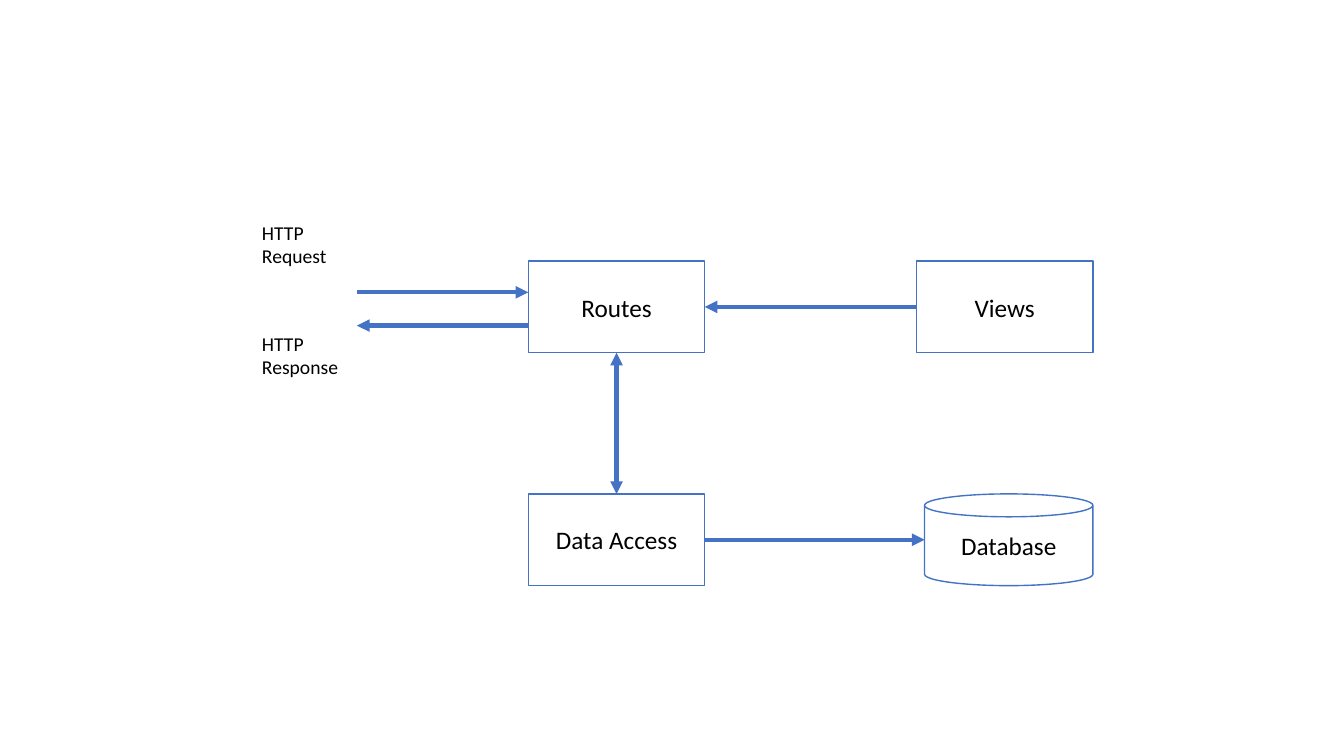
from lxml import etree
from pptx import Presentation, util as u
from pptx.dml.color import RGBColor
from pptx.enum import shapes, text
from pptx.oxml.ns import qn

BLUE, WHITE, BLACK = "4472C4", "FFFFFF", "000000"

# Grid: two columns of boxes in two rows
LEFT, RIGHT_EDGE = 5.24, 10.84
TOP, BOTTOM = 2.59, 4.9
BOX_W, CAN_W, BOX_H = 1.75, 1.67, 0.91
LABEL_X, LABEL_H, CLIENT_X = 2.5, 0.74, 3.54


def color(value):
    return RGBColor.from_string(value)


def add_arrow(start, end, ends=("tailEnd",)):
    points = [u.Inches(value) for value in start + end]
    arrow = page.shapes.add_connector(shapes.MSO_CONNECTOR.STRAIGHT, *points)
    arrow.line.color.rgb = color(BLUE)
    arrow.line.width = u.Pt(3)
    for name in ends:
        etree.SubElement(arrow.line._get_or_add_ln(), qn("a:" + name), type="triangle")
    etree.SubElement(arrow._element.spPr, qn("a:effectLst"))
    return arrow


deck = Presentation()
deck.slide_width, deck.slide_height = u.Inches(13.33), u.Inches(7.5)
page = deck.slides.add_slide(deck.slide_layouts[6])

# Components
components = [
    ("Routes", LEFT, TOP, BOX_W, shapes.MSO_SHAPE.RECTANGLE),
    ("Views", RIGHT_EDGE - BOX_W, TOP, BOX_W, shapes.MSO_SHAPE.RECTANGLE),
    ("Data Access", LEFT, BOTTOM, BOX_W, shapes.MSO_SHAPE.RECTANGLE),
    ("Database", RIGHT_EDGE - CAN_W, BOTTOM, CAN_W, shapes.MSO_SHAPE.CAN),
]
boxes = {}
for name, x, y, width, kind in components:
    box = page.shapes.add_shape(
        kind, u.Inches(x), u.Inches(y), u.Inches(width), u.Inches(BOX_H))
    box.shadow.inherit = False
    box.fill.solid()
    box.fill.fore_color.rgb = color(WHITE)
    box.line.color.rgb = color(BLUE)
    box.line.width = u.Pt(1)
    box.text_frame.text = name
    box.text_frame.vertical_anchor = text.MSO_ANCHOR.MIDDLE
    para = box.text_frame.paragraphs[0]
    para.alignment = text.PP_ALIGN.CENTER
    span = para.runs[0]
    span.font.name, span.font.size = "Calibri", u.Pt(18)
    span.font.color.rgb = color(BLACK)
    boxes[name] = box

# Request and response labels
for words, y, width in [("HTTP\nRequest", 2.14, 0.97), ("HTTP\nResponse", 3.24, 1.1)]:
    label = page.shapes.add_textbox(
        u.Inches(LABEL_X), u.Inches(y), u.Inches(width), u.Inches(LABEL_H))
    label.text_frame.text = words
    label.text_frame.word_wrap = False
    label.text_frame.auto_size = text.MSO_AUTO_SIZE.SHAPE_TO_FIT_TEXT
    for para in label.text_frame.paragraphs:
        span = para.runs[0]
        span.font.name, span.font.size = "Calibri", u.Pt(14)
        span.font.color.rgb = color(BLACK)

# Traffic between the client and the routes
add_arrow((CLIENT_X, 2.9), (LEFT, 2.9))
add_arrow((LEFT, 3.23), (CLIENT_X, 3.23))

# Links between components
box_right, box_middle = LEFT + BOX_W, LEFT + BOX_W / 2
top_middle, bottom_middle = TOP + BOX_H / 2, BOTTOM + BOX_H / 2

views_link = add_arrow((RIGHT_EDGE - BOX_W, top_middle), (box_right, top_middle))
views_link.begin_connect(boxes["Views"], 1)
views_link.end_connect(boxes["Routes"], 3)

data_link = add_arrow(
    (box_middle, TOP + BOX_H), (box_middle, BOTTOM), ("headEnd", "tailEnd"))
data_link.begin_connect(boxes["Routes"], 2)
data_link.end_connect(boxes["Data Access"], 0)

database_link = add_arrow(
    (box_right, bottom_middle), (RIGHT_EDGE - CAN_W, bottom_middle))
database_link.begin_connect(boxes["Data Access"], 3)

deck.save("out.pptx")
